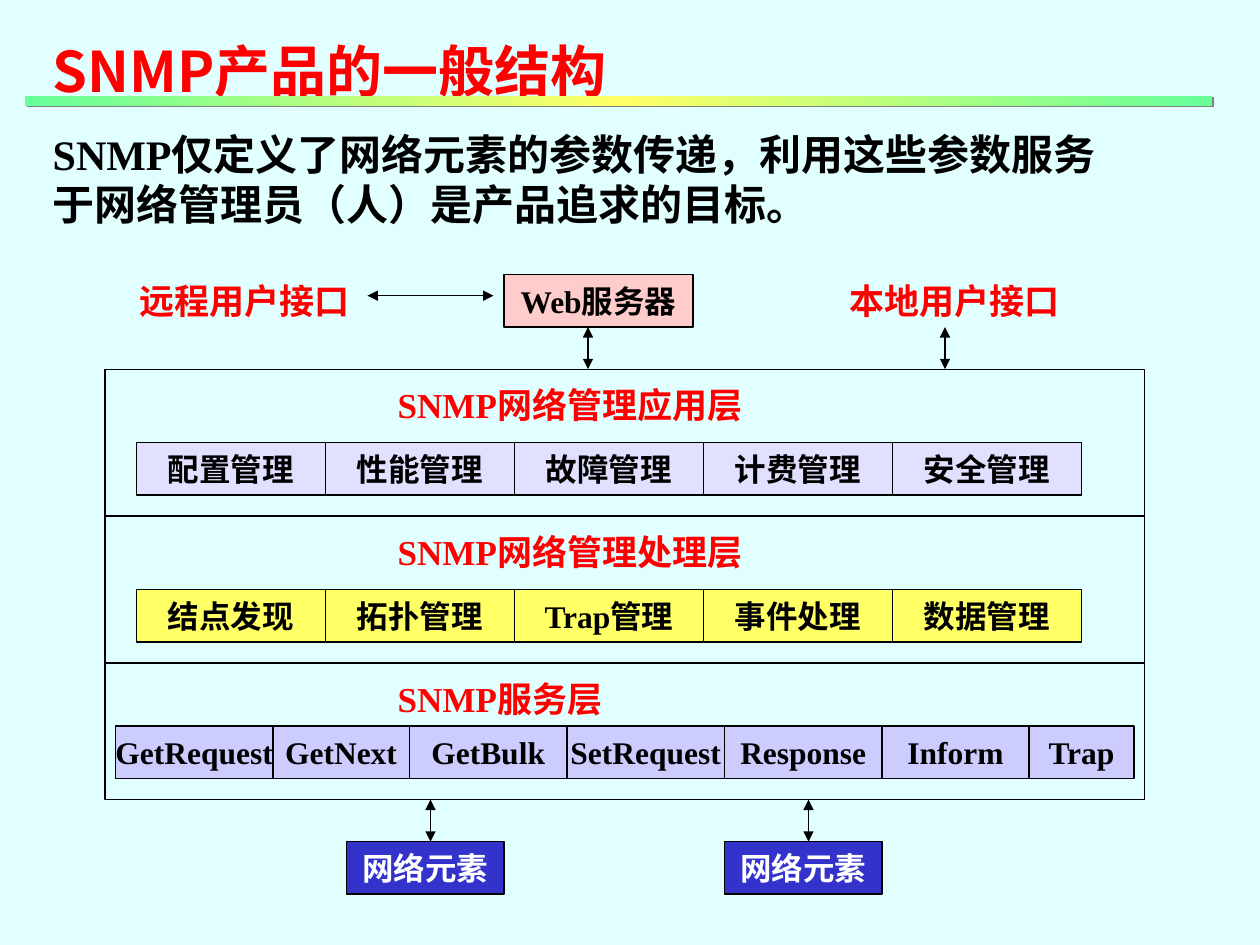
from itertools import accumulate

from lxml.etree import SubElement
from pptx import Presentation
from pptx.dml.color import RGBColor
from pptx.enum.shapes import MSO_CONNECTOR as Connector, MSO_SHAPE as Preset
from pptx.enum.text import MSO_ANCHOR as Anchor, MSO_AUTO_SIZE as AutoSize, PP_ALIGN as Align
from pptx.oxml import parse_xml
from pptx.oxml.ns import nsdecls, qn
from pptx.util import Inches, Pt

CELL = 1 / 12
TOP = 2.18
BOX_ROWS = 5
SERIF, SANS = "Times New Roman", "Noto Sans CJK SC"
BLACK, RED, WHITE = "000000", "FF0000", "FFFFFF"


def color(value):
    """Turn a hex string into a colour."""
    return RGBColor.from_string(value)


def across(columns):
    """Measure a number of grid columns."""
    return Inches(columns * CELL)


def down(row):
    """Find the position of a grid row of the diagram."""
    return Inches(TOP + row * CELL)


def style(paragraph, size, ink, font=SERIF):
    """Set the bold font of a paragraph."""
    paragraph.font.name = font
    paragraph.font.size = Pt(size)
    paragraph.font.bold = True
    paragraph.font.color.rgb = color(ink)


def add_box(slide, column, row, columns, rows=BOX_ROWS, fill=None, text="", ink=BLACK):
    """Draw an outlined rectangle on the grid, with a centred caption if given."""
    shape = slide.shapes.add_shape(
        Preset.RECTANGLE, across(column), down(row), across(columns), across(rows))
    shape.shadow.inherit = False
    shape.line.color.rgb = color(BLACK)
    shape.line.width = Pt(0.75)
    if fill:
        shape.fill.solid()
        shape.fill.fore_color.rgb = color(fill)
    else:
        shape.fill.background()
    if text:
        frame = shape.text_frame
        frame.word_wrap = False
        frame.vertical_anchor = Anchor.MIDDLE
        paragraph = frame.paragraphs[0]
        paragraph.text = text
        paragraph.alignment = Align.CENTER
        style(paragraph, 18, ink)


def add_label(slide, column, row, width, text):
    """Write a red label that starts at a grid position."""
    box = slide.shapes.add_textbox(across(column), down(row), Inches(width), Inches(0.44))
    frame = box.text_frame
    frame.word_wrap = False
    frame.auto_size = AutoSize.SHAPE_TO_FIT_TEXT
    frame.text = text
    style(frame.paragraphs[0], 20, RED)


def add_arrow(slide, column, row, columns=0, rows=0):
    """Draw a double-headed arrow along the grid."""
    arrow = slide.shapes.add_connector(
        Connector.STRAIGHT, across(column), down(row),
        across(column + columns), down(row + rows))
    arrow.line.color.rgb = color(BLACK)
    arrow.line.width = Pt(0.75)
    line = arrow.line._get_or_add_ln()
    for end in ("a:headEnd", "a:tailEnd"):
        SubElement(line, qn(end), type="triangle")
    SubElement(arrow._element.spPr, qn("a:effectLst"))


def add_heading(slide, left, top, width, height):
    """Write the title and the statement below it."""
    box = slide.shapes.add_textbox(Inches(left), Inches(top), Inches(width), Inches(height))
    frame = box.text_frame
    frame.word_wrap = True
    title = frame.paragraphs[0]
    title.text = "SNMP产品的一般结构"
    style(title, 32, RED, SANS)
    statement = frame.add_paragraph()
    statement.text = "SNMP仅定义了网络元素的参数传递，利用这些参数服务于网络管理员（人）是产品追求的目标。"
    statement.space_before = Pt(14)
    style(statement, 24, BLACK)


def add_rule(slide, left, top, width, height):
    """Draw the gradient bar under the title with its hard shadow."""
    bar = slide.shapes.add_shape(
        Preset.RECTANGLE, Inches(left), Inches(top), Inches(width), Inches(height))
    bar.line.fill.background()
    bar.fill.gradient()
    bar.fill.gradient_angle = 0
    stops = bar._element.spPr.find(qn("a:gradFill")).find(qn("a:gsLst"))
    stops.clear()
    for position, value in ((0, "66FF99"), (50, "FFFF66"), (100, "66FF99")):
        stop = SubElement(stops, qn("a:gs"), pos=str(position * 1000))
        SubElement(stop, qn("a:srgbClr"), val=value)
    bar._element.spPr.append(parse_xml(
        f'<a:effectLst {nsdecls("a")}><a:outerShdw blurRad="0" dist="17780" dir="2700000">'
        '<a:srgbClr val="808080"/></a:outerShdw></a:effectLst>'))


def add_layer(slide, row, rows, title, title_width, fill, start, cell_row, cells):
    """Draw one framed layer with its title and its row of functions."""
    columns = [width for _, width in cells]
    for (text, width), offset in zip(cells, accumulate(columns, initial=0)):
        add_box(slide, start + offset, row + cell_row, width, fill=fill, text=text)
    add_label(slide, 36.7, row + 0.8, title_width, title)
    add_box(slide, 10, row, 99, rows)


def add_interfaces(slide, row):
    """Draw the user interfaces above the layers."""
    add_box(slide, 48, row, 18, fill="FFCCCC", text="Web服务器")
    for column, text in ((12.1, "远程用户接口"), (79.7, "本地用户接口")):
        add_label(slide, column, row - 0.1, 1.87, text)
    add_arrow(slide, 35, row + 2, columns=12)
    for column in (56, 90):
        add_arrow(slide, column, row + BOX_ROWS, rows=4)


def add_elements(slide, row):
    """Draw the network elements below the layers."""
    for column in (33, 69):
        add_box(slide, column, row + 4, 15, fill="3333CC", text="网络元素", ink=WHITE)
        add_arrow(slide, column + 8, row, rows=4)


def main():
    """Build the slide and save it."""
    presentation = Presentation()
    presentation.slide_width, presentation.slide_height = Inches(10), Inches(7.5)
    slide = presentation.slides.add_slide(presentation.slide_layouts[6])
    slide.background.fill.solid()
    slide.background.fill.fore_color.rgb = color("E1FFFF")

    add_heading(slide, 0.32, 0.24, 8.6, 1.64)
    services = [("GetRequest", 15), ("GetNext", 13), ("GetBulk", 15), ("SetRequest", 15),
                ("Response", 15), ("Inform", 14), ("Trap", 10)]
    processing = ["结点发现", "拓扑管理", "Trap管理", "事件处理", "数据管理"]
    applications = ["配置管理", "性能管理", "故障管理", "计费管理", "安全管理"]
    add_layer(slide, 37, 13, "SNMP服务层", 1.89, "CCCCFF", 11, 6, services)
    add_layer(slide, 23, 14, "SNMP网络管理处理层", 3, "FFFF66", 13, 7,
              [(text, 18) for text in processing])
    add_layer(slide, 9, 14, "SNMP网络管理应用层", 3, "E1E1FF", 13, 7,
              [(text, 18) for text in applications])
    add_interfaces(slide, 0)
    add_elements(slide, 50)
    add_rule(slide, 0.2, 0.76, 9.42, 0.08)
    presentation.save("out.pptx")


if __name__ == "__main__":
    main()
